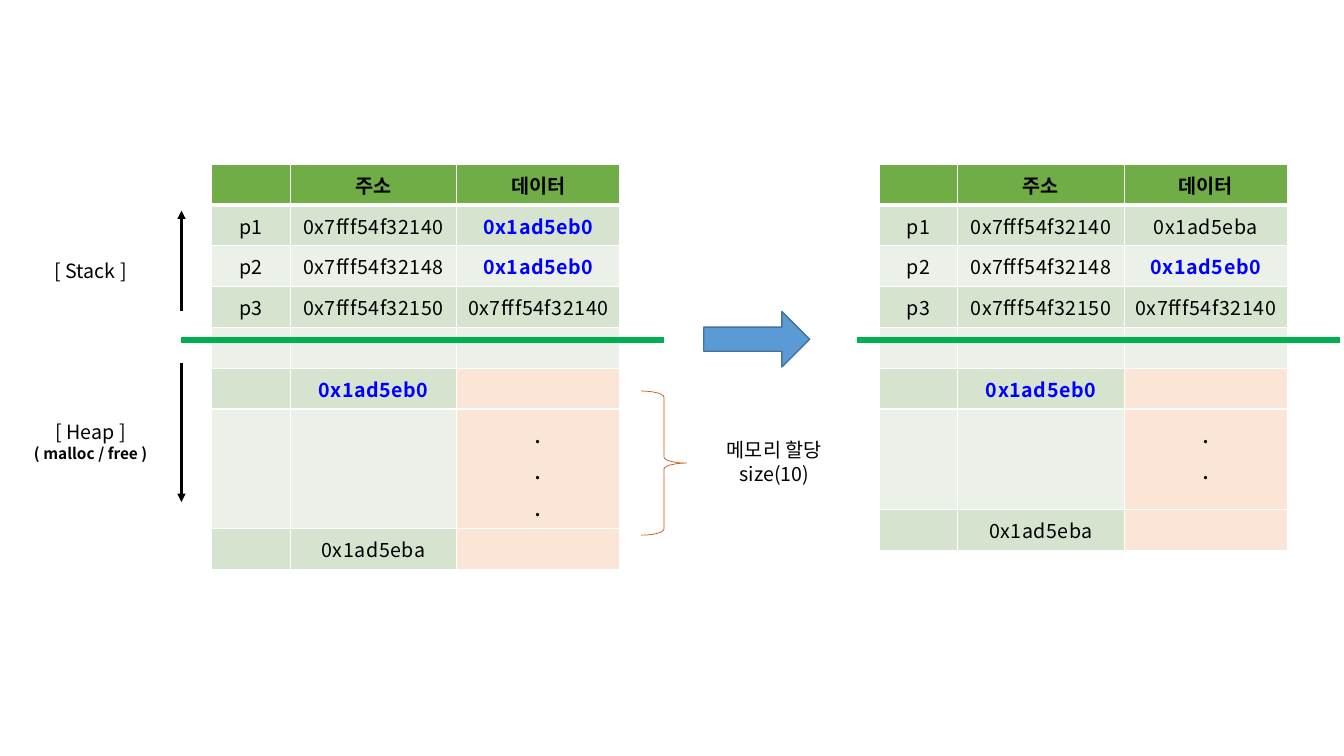
from lxml.etree import SubElement
from pptx import Presentation
from pptx.dml.color import RGBColor
from pptx.enum.shapes import MSO_CONNECTOR, MSO_SHAPE
from pptx.enum.text import MSO_ANCHOR, MSO_AUTO_SIZE, PP_ALIGN
from pptx.oxml.ns import qn
from pptx.util import Inches, Pt

FONT = "Noto Sans CJK KR"
BLACK = RGBColor(0x00, 0x00, 0x00)
POINTER_BLUE = RGBColor(0x00, 0x00, 0xFF)
HEADER_GREEN = RGBColor(0x70, 0xAD, 0x47)
BANDS = (RGBColor(0xEB, 0xF1, 0xE9), RGBColor(0xD5, 0xE3, 0xCF))
ALLOCATED = RGBColor(0xFB, 0xE5, 0xD6)
DIVIDER_GREEN = RGBColor(0x00, 0xB0, 0x50)
BRACE_BROWN = RGBColor(0xC5, 0x5A, 0x11)
ARROW_FILL = RGBColor(0x5B, 0x9B, 0xD5)
ARROW_LINE = RGBColor(0x43, 0x73, 0x9E)

BLOCK_START, BLOCK_END = "0x1ad5eb0", "0x1ad5eba"
COLUMN_WIDTHS = (0.78, 1.65, 1.62)
ROW_HEIGHT = 0.405
DOTS_ROW, FIRST_HEAP_ROW = 6, 5


def write_paragraph(paragraph, text, size=14, bold=False, color=BLACK, spacing=0):
    paragraph.alignment = PP_ALIGN.CENTER
    font = paragraph.font
    font.size, font.bold, font.name = Pt(size), bold, FONT
    font.color.rgb = color
    defaults = paragraph._p.pPr.find(qn("a:defRPr"))
    SubElement(defaults, qn("a:ea")).set("typeface", FONT)
    if text:
        run = paragraph.add_run()
        run.text = text
        if spacing:
            run._r.get_or_add_rPr().set("spc", str(spacing))


def set_borders(cell, bottom_width):
    properties = cell._tc.get_or_add_tcPr()
    widths = {"L": 1, "R": 1, "T": 1, "B": bottom_width}
    for index, (side, width) in enumerate(widths.items()):
        border = properties.makeelement(qn(f"a:ln{side}"), {"w": str(Pt(width))})
        fill = SubElement(border, qn("a:solidFill"))
        SubElement(fill, qn("a:srgbClr")).set("val", "FFFFFF")
        properties.insert(index, border)


def add_memory_table(slide, left, top, p1_data, dot_count, dots_height):
    rows = [
        ("", "주소", "데이터"),
        ("p1", "0x7fff54f32140", p1_data),
        ("p2", "0x7fff54f32148", BLOCK_START),
        ("p3", "0x7fff54f32150", "0x7fff54f32140"),
        ("", "", ""),
        ("", BLOCK_START, ""),
        ("", "", "\n".join("." * dot_count)),
        ("", BLOCK_END, ""),
    ]
    height = ROW_HEIGHT * (len(rows) - 1) + dots_height
    table = slide.shapes.add_table(
        len(rows), len(COLUMN_WIDTHS), Inches(left), Inches(top),
        Inches(sum(COLUMN_WIDTHS)), Inches(height)).table
    table.first_row = table.horz_banding = False
    for column, width in zip(table.columns, COLUMN_WIDTHS):
        column.width = Inches(width)
    for row_index, values in enumerate(rows):
        is_header = row_index == 0
        table.rows[row_index].height = Inches(
            dots_height if row_index == DOTS_ROW else ROW_HEIGHT)
        for column_index, text in enumerate(values):
            cell = table.cell(row_index, column_index)
            is_dots = text.startswith(".")
            cell.vertical_anchor = MSO_ANCHOR.TOP if is_dots else MSO_ANCHOR.MIDDLE
            if not text:
                cell.margin_top = cell.margin_bottom = 0
            # Fill and borders
            cell.fill.solid()
            if is_header:
                cell.fill.fore_color.rgb = HEADER_GREEN
            elif column_index == 2 and row_index >= FIRST_HEAP_ROW:
                cell.fill.fore_color.rgb = ALLOCATED
            else:
                cell.fill.fore_color.rgb = BANDS[row_index % 2]
            set_borders(cell, 3 if is_header else 1)
            # Text
            is_pointer = text == BLOCK_START
            for line_index, line in enumerate(text.split("\n")):
                frame = cell.text_frame
                paragraph = frame.add_paragraph() if line_index else frame.paragraphs[0]
                write_paragraph(
                    paragraph, line, 18 if is_dots else 14, is_header or is_pointer,
                    POINTER_BLUE if is_pointer else BLACK,
                    40 if line.startswith("0x") else 0)


def add_label(slide, left, top, height, *lines):
    box = slide.shapes.add_textbox(
        Inches(left), Inches(top), Inches(1.34), Inches(height))
    frame = box.text_frame
    frame.word_wrap = True
    frame.auto_size = MSO_AUTO_SIZE.SHAPE_TO_FIT_TEXT
    for index, (text, size, bold) in enumerate(lines):
        paragraph = frame.add_paragraph() if index else frame.paragraphs[0]
        write_paragraph(paragraph, text, size, bold)


def add_line(slide, start, end, color, width, arrow=False):
    line = slide.shapes.add_connector(
        MSO_CONNECTOR.STRAIGHT, *(Inches(value) for value in start + end))
    line.line.color.rgb = color
    line.line.width = Pt(width)
    if arrow:
        SubElement(line.line._get_or_add_ln(), qn("a:tailEnd")).set("type", "triangle")
    SubElement(line._element.spPr, qn("a:effectLst"))


def add_outline_shape(slide, kind, left, top, width, height,
                      adjustment, line_color, line_width, fill=None):
    shape = slide.shapes.add_shape(
        kind, Inches(left), Inches(top), Inches(width), Inches(height))
    shape.shadow.inherit = False
    shape.adjustments[0], shape.adjustments[1] = adjustment, 0.5
    shape.line.color.rgb = line_color
    shape.line.width = Pt(line_width)
    if fill is None:
        shape.fill.background()
    else:
        shape.fill.solid()
        shape.fill.fore_color.rgb = fill


def add_region_guide(slide, left, top):
    """Stack and heap labels with their growth arrows."""
    axis = left + 1.57
    add_line(slide, (axis, top + 1), (axis, top), BLACK, 1.5, arrow=True)
    add_line(slide, (axis, top + 1.51), (axis, top + 2.89), BLACK, 1.5, arrow=True)
    add_label(slide, left, top + 0.43, 0.34, ("[ Stack ]", 14, False))
    add_label(slide, left, top + 2.03, 0.54,
              ("[ Heap ]", 14, False), ("( malloc / free )", 11, True))


def add_allocation_note(slide, left, top):
    """Brace around the allocated block, with its size."""
    add_outline_shape(slide, MSO_SHAPE.RIGHT_BRACE, left, top, 0.45, 1.43,
                      0.135, BRACE_BROWN, 0.5)
    add_label(slide, left + 0.65, top + 0.42, 0.57,
              ("메모리 할당", 14, False), ("size(10)", 14, False))


def build_slide(presentation):
    slide = presentation.slides.add_slide(presentation.slide_layouts[6])
    # Memory before and after the pointer moves
    add_memory_table(slide, 2.1, 1.63, BLOCK_START, 3, 1.18)
    add_allocation_note(slide, 6.36, 3.88)
    add_memory_table(slide, 8.72, 1.63, BLOCK_END, 2, 1.0)
    add_outline_shape(slide, MSO_SHAPE.RIGHT_ARROW, 6.98, 3.09, 1.05, 0.55,
                      0.435, ARROW_LINE, 1, ARROW_FILL)
    # Border between stack and heap
    for left in (1.8, 8.5):
        add_line(slide, (left, 3.37), (left + 4.79, 3.37), DIVIDER_GREEN, 4.5)
    add_region_guide(slide, 0.23, 2.09)


presentation = Presentation()
presentation.slide_width, presentation.slide_height = Inches(13.33), Inches(7.5)
build_slide(presentation)
presentation.save("out.pptx")
